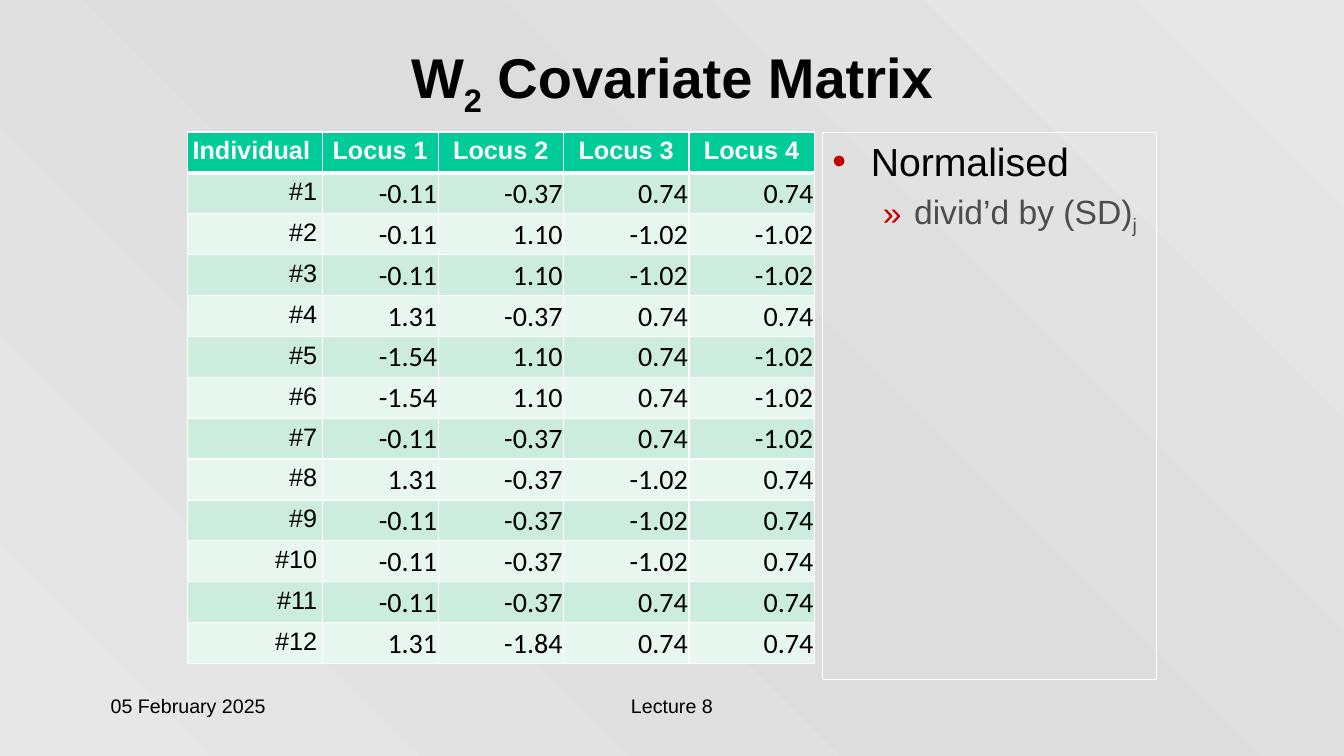
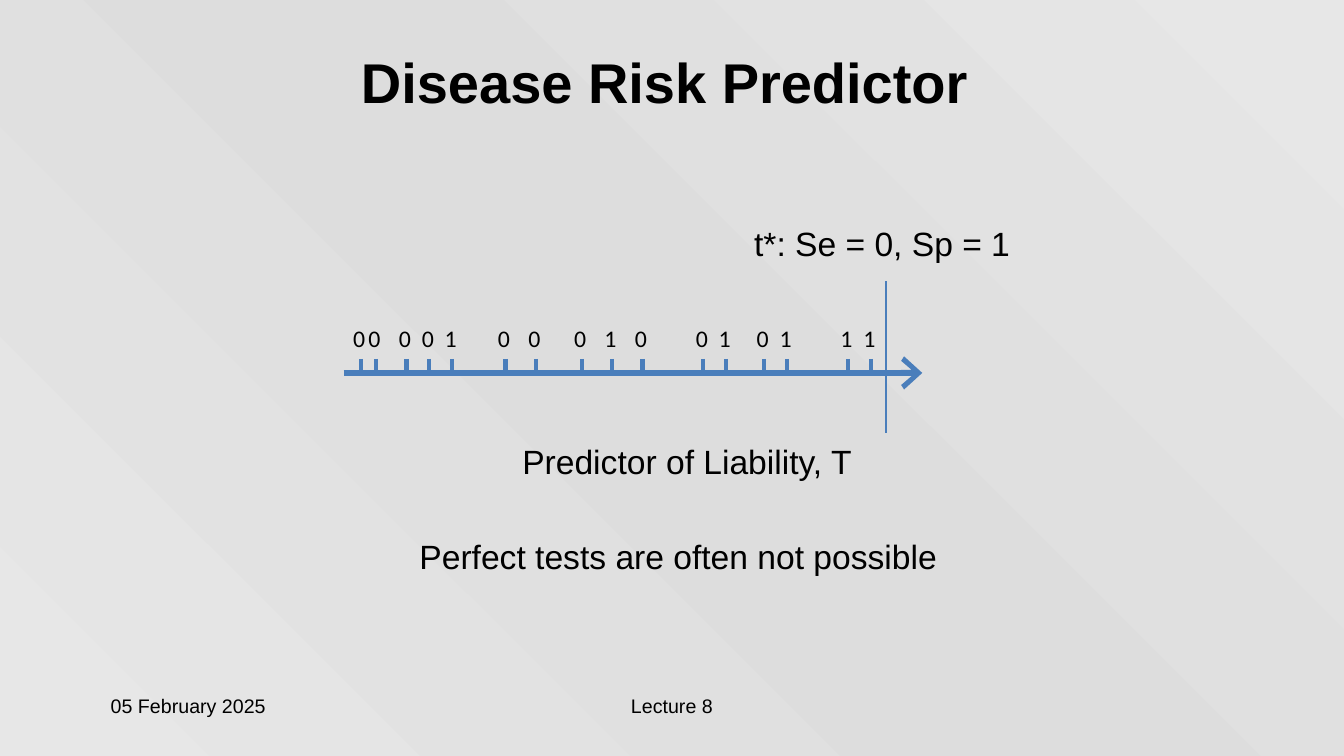
from copy import deepcopy
from dataclasses import dataclass

from pptx import Presentation
from pptx.dml.color import RGBColor
from pptx.enum.shapes import MSO_CONNECTOR, MSO_SHAPE
from pptx.enum.text import MSO_ANCHOR, MSO_AUTO_SIZE, PP_ALIGN
from pptx.oxml.ns import qn
from pptx.util import Emu, Inches, Pt
from lxml.etree import SubElement

SLIDE_W, SLIDE_H = Inches(13.33), Inches(7.5)


@dataclass(frozen=True)
class Theme:
    heading_font: str = "Arial"
    number_font: str = "Calibri"
    title: int = 40
    bullet: int = 28
    body: int = 24
    number: int = 20
    label: int = 18
    tick: int = 17
    footer: int = 14
    black: str = "000000"
    white: str = "FFFFFF"
    grey: str = "4D4D4D"
    red: str = "C00000"
    blue: str = "4A7EBB"
    header: str = "00CC99"
    bands: tuple[str, str] = ("CCECDE", "E7F6EF")
    backdrop: tuple[str, str, str] = ("E7E7E7", "DDDDDD", "E7E7E7")


@dataclass(frozen=True)
class Box:
    """A place on the slide, in percent of its width and height."""
    left: float
    top: float
    width: float
    height: float

    def emu(self) -> tuple[Emu, Emu, Emu, Emu]:
        return across(self.left), down(self.top), across(self.width), down(self.height)


@dataclass(frozen=True)
class Bullet:
    text: str
    char: str
    size: int
    color: str
    left: float
    hang: float
    level: int = 0
    before: float = 0


@dataclass(frozen=True)
class Tick:
    """One person on the liability axis: position in steps, disease status."""
    step: int
    status: str


@dataclass(frozen=True)
class Caption:
    box: Box
    text: str


T = Theme()
TITLE = Box(1.95, 4, 96.1, 13.47)
DATE = Box(7.5, 91.07, 20.85, 6.67)
LECTURE = Box(34.17, 91.07, 31.66, 6.67)

# Covariate table and its side panel
CONTENT_TOP = 17.47
TABLE_LEFT = 13.95
COLUMNS = (10.03, 8.63, 9.33, 9.33, 9.33)
ROW = 5.41
PANEL = Box(61.2, CONTENT_TOP, 24.83, 72.4)
HEADINGS = ("Individual", "Locus 1", "Locus 2", "Locus 3", "Locus 4")
COVARIATES = (
    (-0.11, -0.37, 0.74, 0.74),
    (-0.11, 1.10, -1.02, -1.02),
    (-0.11, 1.10, -1.02, -1.02),
    (1.31, -0.37, 0.74, 0.74),
    (-1.54, 1.10, 0.74, -1.02),
    (-1.54, 1.10, 0.74, -1.02),
    (-0.11, -0.37, 0.74, -1.02),
    (1.31, -0.37, -1.02, 0.74),
    (-0.11, -0.37, -1.02, 0.74),
    (-0.11, -0.37, -1.02, 0.74),
    (-0.11, -0.37, 0.74, 0.74),
    (1.31, -1.84, 0.74, 0.74),
)
BULLETS = (
    Bullet("Normalised", "•", T.bullet, T.black, left=0.38, hang=0.38),
    Bullet("divid’d by (SD)_j_", "»", T.body, T.grey, left=0.81, hang=0.31, level=1, before=4.8),
)

# Liability axis: horizontal places in equal steps, counted from the first tick
TICKS = (
    Tick(0, "0"), Tick(2, "0"), Tick(6, "0"), Tick(9, "0"),
    Tick(12, "1"), Tick(19, "0"), Tick(23, "0"), Tick(29, "0"),
    Tick(33, "1"), Tick(37, "0"), Tick(45, "0"), Tick(48, "1"),
    Tick(53, "0"), Tick(56, "1"), Tick(64, "1"), Tick(67, "1"),
)
AXIS_START, THRESHOLD, AXIS_END = -2.25, 69, 73.75
FIRST_TICK, LAST_TICK = 26.85, 64.8
STEP = (LAST_TICK - FIRST_TICK) / TICKS[-1].step
THRESHOLD_TOP, THRESHOLD_BOTTOM = 37.2, 57.33
STATUS_TOP, TICK_TOP, AXIS_Y = 42.87, 47.47, 49.33
STATUS_W, STATUS_H = 0.9, 3.87
CAPTION_H = 5.33
CAPTIONS = (
    Caption(Box(38.86, 58.27, 24.76, CAPTION_H), "Predictor of Liability, T"),
    Caption(Box(56.11, 29.47, 19.88, CAPTION_H), "t*: Se = 0, Sp = 1"),
    Caption(Box(31.21, 70.87, 38.86, CAPTION_H), "Perfect tests are often not possible"),
)


def across(percent: float) -> Emu:
    return Emu(round(SLIDE_W * percent / 100))


def down(percent: float) -> Emu:
    return Emu(round(SLIDE_H * percent / 100))


def rgb(value: str) -> RGBColor:
    return RGBColor.from_string(value)


def write(p, text: str, *, size: int, font: str = T.heading_font, color: str = T.black,
          bold: bool = False, align: PP_ALIGN = PP_ALIGN.LEFT) -> None:
    """Fill a paragraph; text between underscores is a subscript."""
    p.alignment = align
    for i, part in enumerate(text.split("_")):
        if not part:
            continue
        r = p.add_run()
        r.text = part
        r.font.size, r.font.name, r.font.bold = Pt(size), font, bold
        r.font.color.rgb = rgb(color)
        if i % 2:
            r._r.get_or_add_rPr().set("baseline", "-25000")


def add_text(shapes, box: Box, text: str, *, anchor: MSO_ANCHOR = MSO_ANCHOR.TOP,
             tight: bool = False, **style) -> None:
    """Add a text box; a tight one has no margins and hugs its single line."""
    tf = shapes.add_textbox(*box.emu()).text_frame
    tf.word_wrap = not tight
    tf.vertical_anchor = anchor
    if tight:
        tf.auto_size = MSO_AUTO_SIZE.SHAPE_TO_FIT_TEXT
        tf.margin_left = tf.margin_top = tf.margin_right = tf.margin_bottom = 0
    write(tf.paragraphs[0], text, **style)


def add_line(shapes, start: tuple[float, float], end: tuple[float, float], width: float,
             arrow: bool = False) -> None:
    line = shapes.add_connector(MSO_CONNECTOR.STRAIGHT, across(start[0]), down(start[1]),
                                across(end[0]), down(end[1]))
    line.line.width = Pt(width)
    line.line.color.rgb = rgb(T.blue)
    spPr = line._element.spPr
    if arrow:
        SubElement(spPr.find(qn("a:ln")), qn("a:tailEnd"), type="arrow", w="lg", len="med")
    SubElement(spPr, qn("a:effectLst"))


def paint_background(s) -> None:
    fill = s.background.fill
    fill.gradient()
    fill.gradient_angle = 45
    stops = s.element.find(".//" + qn("a:gsLst"))
    stops.insert(1, deepcopy(stops[0]))
    for i, (stop, color) in enumerate(zip(fill.gradient_stops, T.backdrop)):
        stop.position = i / 2
        stop.color.rgb = rgb(color)


def add_slide(prs, title: str):
    """Add a slide with the shared background, title and footers."""
    s = prs.slides.add_slide(prs.slide_layouts[6])
    paint_background(s)
    add_text(s.shapes, TITLE, title, size=T.title, bold=True,
             align=PP_ALIGN.CENTER, anchor=MSO_ANCHOR.MIDDLE)
    add_text(s.shapes, DATE, "05 February 2025", size=T.footer)
    add_text(s.shapes, LECTURE, "Lecture 8", size=T.footer, align=PP_ALIGN.CENTER)
    return s


def set_borders(cell, **widths: float) -> None:
    """Draw white borders; the keywords L, R, T and B give widths in points."""
    tcPr = cell._tc.get_or_add_tcPr()
    for side, width in widths.items():
        ln = SubElement(tcPr, qn("a:ln" + side), w=str(Pt(width)))
        SubElement(SubElement(ln, qn("a:solidFill")), qn("a:srgbClr"), val=T.white)


def format_cell(cell, text: str, *, fill: str, margin: float, bottom: float,
                anchor: MSO_ANCHOR = MSO_ANCHOR.TOP, **style) -> None:
    cell.fill.solid()
    cell.fill.fore_color.rgb = rgb(fill)
    cell.margin_left = cell.margin_right = cell.margin_top = Inches(margin)
    cell.margin_bottom = Inches(bottom)
    cell.vertical_anchor = anchor
    write(cell.text_frame.paragraphs[0], text, **style)


def add_covariate_table(s) -> None:
    row_count = 1 + len(COVARIATES)
    box = Box(TABLE_LEFT, CONTENT_TOP, sum(COLUMNS), ROW * row_count)
    table = s.shapes.add_table(row_count, len(COLUMNS), *box.emu()).table
    for column, width in zip(table.columns, COLUMNS):
        column.width = across(width)
    for row in table.rows:
        row.height = down(ROW)

    for j, heading in enumerate(HEADINGS):
        cell = table.cell(0, j)
        set_borders(cell, L=1, R=1, T=1, B=3)
        format_cell(cell, heading, fill=T.header, margin=0.05, bottom=0.05, size=T.label,
                    color=T.white, bold=True, align=PP_ALIGN.CENTER if j else PP_ALIGN.LEFT)

    for i, values in enumerate(COVARIATES, 1):
        band = T.bands[(i - 1) % 2]
        for j in range(len(COLUMNS)):
            set_borders(table.cell(i, j), L=1, R=1, B=1)
        format_cell(table.cell(i, 0), f"#{i}", fill=band, margin=0.05, bottom=0.05,
                    size=T.label, align=PP_ALIGN.RIGHT)
        for j, value in enumerate(values, 1):
            format_cell(table.cell(i, j), f"{value:.2f}", fill=band, margin=0.01, bottom=0,
                        anchor=MSO_ANCHOR.MIDDLE, size=T.number, font=T.number_font,
                        align=PP_ALIGN.RIGHT)


def add_bullet_panel(s) -> None:
    panel = s.shapes.add_shape(MSO_SHAPE.RECTANGLE, *PANEL.emu())
    panel.shadow.inherit = False
    panel.fill.background()
    panel.line.color.rgb = rgb(T.white)
    panel.line.width = Pt(0.75)
    tf = panel.text_frame
    tf.word_wrap = True
    tf.vertical_anchor = MSO_ANCHOR.TOP
    for i, bullet in enumerate(BULLETS):
        p = tf.add_paragraph() if i else tf.paragraphs[0]
        p.level = bullet.level
        p.space_before = Pt(bullet.before)
        pPr = p._p.get_or_add_pPr()
        pPr.set("marL", str(Inches(bullet.left)))
        pPr.set("indent", str(-Inches(bullet.hang)))
        SubElement(SubElement(pPr, qn("a:buClr")), qn("a:srgbClr"), val=T.red)
        SubElement(pPr, qn("a:buFont"), typeface=T.heading_font)
        SubElement(pPr, qn("a:buChar"), char=bullet.char)
        write(p, bullet.text, size=bullet.size, color=bullet.color)


def axis_x(step: float) -> float:
    return FIRST_TICK + step * STEP


def add_liability_axis(s) -> None:
    shapes = s.shapes.add_group_shape().shapes
    add_line(shapes, (axis_x(AXIS_START), AXIS_Y), (axis_x(AXIS_END), AXIS_Y), 4.32, arrow=True)
    for tick in TICKS:
        x = axis_x(tick.step)
        add_line(shapes, (x, TICK_TOP), (x, AXIS_Y), 2.88)
        add_text(shapes, Box(x - STEP, STATUS_TOP, STATUS_W, STATUS_H), tick.status,
                 tight=True, size=T.tick, font=T.number_font)
    x = axis_x(THRESHOLD)
    add_line(shapes, (x, THRESHOLD_TOP), (x, THRESHOLD_BOTTOM), 1.5)


def main() -> None:
    prs = Presentation()
    prs.slide_width, prs.slide_height = SLIDE_W, SLIDE_H

    s = add_slide(prs, "W_2_ Covariate Matrix")
    add_covariate_table(s)
    add_bullet_panel(s)

    s = add_slide(prs, "Disease Risk Predictor ")
    add_liability_axis(s)
    for caption in CAPTIONS:
        add_text(s.shapes, caption.box, caption.text, tight=True, size=T.body)

    prs.save("out.pptx")


if __name__ == "__main__":
    main()
